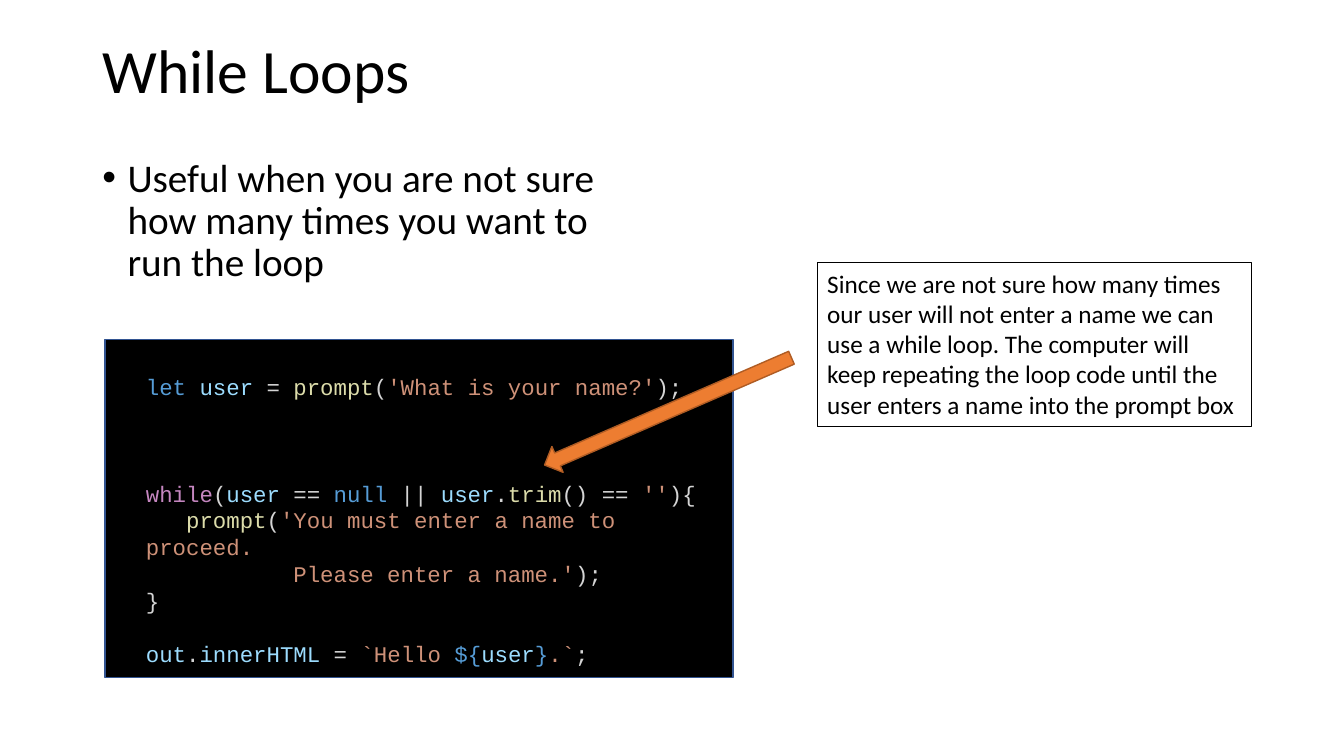
from pptx import Presentation
from pptx.dml.color import RGBColor
from pptx.enum.shapes import MSO_SHAPE as Preset
from pptx.enum.text import MSO_ANCHOR as Anchor, MSO_AUTO_SIZE as AutoSize, PP_ALIGN as Align
from pptx.oxml import parse_xml
from pptx.oxml.ns import nsdecls
from pptx.util import Inches, Pt

THEME = {
    "sans": "Calibri", "mono": "Courier New",
    "title": 44, "body": 28, "note": 18, "code": 16, "code_line": 19.1,
    "ink": "000000", "panel_line": "325491", "arrow": "ED7D31", "arrow_line": "AF5C24",
    "keyword": "569CD6", "control": "C586C0", "variable": "9CDCFE",
    "function": "DCDCAA", "string": "CE9178", "plain": "D4D4D4",
}

presentation = Presentation()
presentation.slide_width, presentation.slide_height = Inches(13.33), Inches(7.5)
slide = presentation.slides.add_slide(presentation.slide_layouts[6])

# Grid of 32 columns by 18 rows
COLUMN = presentation.slide_width / 32
ROW = presentation.slide_height / 18


def add_box(left, top, width, height, preset=None, fill=None, line=None, weight=1):
    place = [int(left * COLUMN), int(top * ROW), int(width * COLUMN), int(height * ROW)]
    if preset is None:
        shape = slide.shapes.add_textbox(*place)
    else:
        shape = slide.shapes.add_shape(preset, *place)
        shape.shadow.inherit = False
    if fill:
        shape.fill.solid()
        shape.fill.fore_color.rgb = RGBColor.from_string(fill)
    else:
        shape.fill.background()
    if line:
        shape.line.color.rgb = RGBColor.from_string(line)
        shape.line.width = Pt(weight)
    shape.text_frame.word_wrap = True
    return shape


def add_run(paragraph, text, size, color, font="sans"):
    run = paragraph.add_run()
    run.text = text
    for name, value in {"name": THEME[font], "size": Pt(THEME[size])}.items():
        setattr(run.font, name, value)
    run.font.color.rgb = RGBColor.from_string(THEME[color])


# Title
title = add_box(2.2, 0, 27.6, 3.48)
title.text_frame.vertical_anchor = Anchor.MIDDLE
paragraph = title.text_frame.paragraphs[0]
paragraph.line_spacing = 0.9
add_run(paragraph, "While Loops", "title", "ink")

# Bullet
body = add_box(2.2, 3.65, 13.13, 3.48)
paragraph = body.text_frame.paragraphs[0]
properties = paragraph._p.get_or_add_pPr()
properties.set("marL", str(Inches(0.25)))
properties.set("indent", str(-Inches(0.25)))
properties.append(parse_xml(f'<a:buFont {nsdecls("a")} typeface="Arial"/>'))
properties.append(parse_xml(f'<a:buChar {nsdecls("a")} char="•"/>'))
paragraph.line_spacing = 0.9
add_run(paragraph, "Useful when you are not sure how many times you want to run the loop", "body", "ink")

# Code panel
add_box(2.5, 8.09, 14.95, 8.04, Preset.RECTANGLE, THEME["ink"], THEME["panel_line"])

# Code: blank lines above, then coloured pieces
CODE = [
    (0, [("let ", "keyword"), ("user", "variable"), (" = ", "plain"), ("prompt", "function"),
         ("(", "plain"), ("'What is your name?'", "string"), (");", "plain")]),
    (3, [("while", "control"), ("(", "plain"), ("user", "variable"), (" == ", "plain"),
         ("null", "keyword"), (" || ", "plain"), ("user", "variable"), (".", "plain"),
         ("trim", "function"), ("() == ", "plain"), ("''", "string"), ("){", "plain")]),
    (0, [("   prompt", "function"), ("(", "plain"),
         ("'You must enter a name to proceed.", "string")]),
    (0, [("           Please enter a name.'", "string"), (");", "plain")]),
    (0, [("}", "plain")]),
    (1, [("out", "variable"), (".", "plain"), ("innerHTML", "variable"), (" = ", "plain"),
         ("`Hello ", "string"), ("${", "keyword"), ("user", "variable"), ("}", "keyword"),
         (".`", "string"), (";", "plain")]),
]
code = add_box(3.24, 8.76, 14.47, 6.7)
code.text_frame.auto_size = AutoSize.SHAPE_TO_FIT_TEXT
for index, (gap, pieces) in enumerate(CODE):
    paragraph = code.text_frame.add_paragraph() if index else code.text_frame.paragraphs[0]
    paragraph.line_spacing = Pt(THEME["code_line"])
    if gap:
        paragraph.space_before = Pt(gap * THEME["code_line"])
    for text, color in pieces:
        add_run(paragraph, text, "code", color, "mono")

# Explanation
note = add_box(19.46, 6.26, 10.34, 3.89, Preset.RECTANGLE, line=THEME["ink"], weight=0.75)
for name, value in {"auto_size": AutoSize.SHAPE_TO_FIT_TEXT, "vertical_anchor": Anchor.TOP}.items():
    setattr(note.text_frame, name, value)
paragraph = note.text_frame.paragraphs[0]
paragraph.alignment = Align.LEFT
add_run(paragraph, "Since we are not sure how many times our user will not enter a name we can use "
        "a while loop. The computer will keep repeating the loop code until the user enters "
        "a name into the prompt box", "note", "ink")

# Arrow from the explanation to the loop condition
arrow = add_box(12.7, 9.46, 6.41, 0.67, Preset.RIGHT_ARROW, THEME["arrow"], THEME["arrow_line"])
arrow.rotation = 156.5

presentation.save("out.pptx")
